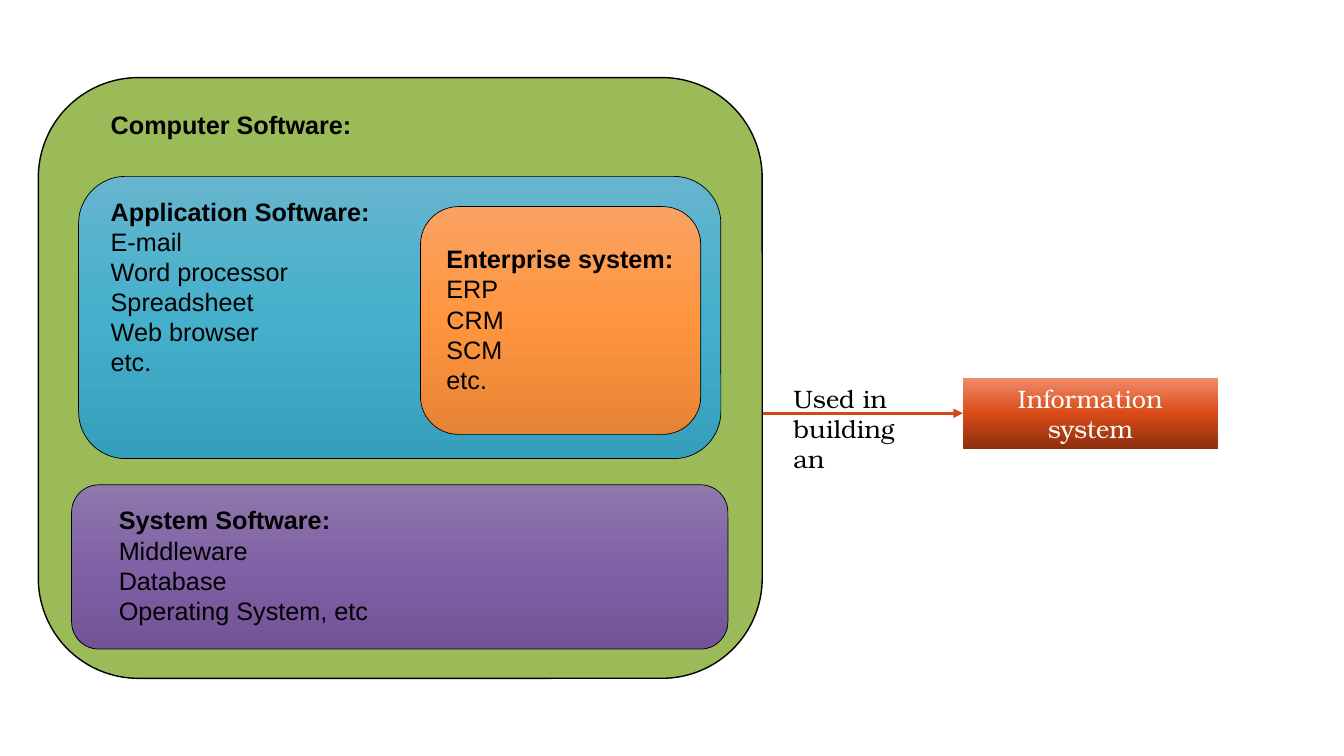
from copy import deepcopy

from pptx import Presentation
from pptx.dml.color import RGBColor as RGB
from pptx.enum.shapes import MSO_CONNECTOR as CONNECTOR, MSO_SHAPE as SHAPE
from pptx.enum.text import MSO_ANCHOR as ANCHOR, PP_ALIGN as ALIGN
from pptx.oxml.ns import qn
from pptx.oxml.xmlchemy import OxmlElement
from pptx.util import Emu, Pt

BLACK = RGB(0x00, 0x00, 0x00)
WHITE = RGB(0xFF, 0xFF, 0xFF)
GREEN = RGB(0x9B, 0xBB, 0x59)
ARROW = RGB(0xD3, 0x48, 0x17)
# Gradients run from top to bottom
BLUES = RGB(0x66, 0xB5, 0xCD), RGB(0x45, 0xB0, 0xCC), RGB(0x36, 0xA0, 0xBC)
PURPLES = RGB(0x8E, 0x78, 0xAC), RGB(0x80, 0x61, 0xA5), RGB(0x71, 0x53, 0x96)
ORANGES = RGB(0xFA, 0xA2, 0x63), RGB(0xFF, 0x95, 0x3E), RGB(0xE5, 0x84, 0x35)
REDS = RGB(0xEF, 0x8C, 0x6A), RGB(0xDA, 0x4B, 0x18), RGB(0x8D, 0x30, 0x0F)


def px(n):
    """Turn px, 100 to the inch, into EMU."""
    return Emu(n * 9144)


class Diagram:
    sans, serif, size = "Arial", "TeX Gyre Bonum", 18

    def __init__(self, slide):
        self.shapes = slide.shapes

    def put_text(self, sp, lines, font=serif, color=BLACK, align=ALIGN.LEFT,
                 anchor=ANCHOR.TOP, heading=False, pitch=None):
        """Add one paragraph a line; heading makes the first one bold."""
        tf = sp.text_frame
        tf.word_wrap = True
        tf.vertical_anchor = anchor
        for i, line in enumerate(lines):
            p = tf.paragraphs[0] if i == 0 else tf.add_paragraph()
            p.alignment = align
            if pitch:
                p.line_spacing = Pt(pitch)
            r = p.add_run()
            r.text = line
            r.font.name = font
            r.font.size = Pt(self.size)
            r.font.bold = heading and i == 0
            r.font.color.rgb = color

    def text(self, box, lines, **fmt):
        sp = self.shapes.add_textbox(*map(px, box))
        self.put_text(sp, lines, **fmt)

    def listing(self, box, lines):
        self.text(box, lines, font=self.sans, heading=True, pitch=21.5)

    def block(self, box, colors, shape=SHAPE.ROUNDED_RECTANGLE, line=0.5):
        """Draw a filled shape: one colour is solid, three make a gradient."""
        sp = self.shapes.add_shape(shape, *map(px, box))
        sp.shadow.inherit = False
        if len(colors) == 1:
            sp.fill.solid()
            sp.fill.fore_color.rgb = colors[0]
        else:
            self.shade(sp, colors)
        if line:
            sp.line.color.rgb = BLACK
            sp.line.width = Pt(line)
        else:
            sp.line.fill.background()
        return sp

    def shade(self, sp, colors):
        sp.fill.gradient()
        sp.fill.gradient_angle = 270
        stops = sp._element.spPr.find(qn("a:gradFill")).find(qn("a:gsLst"))
        stops.append(deepcopy(stops[-1]))
        for stop, color, position in zip(sp.fill.gradient_stops, colors, (0, 0.5, 1)):
            stop.color.rgb = color
            stop.position = position

    def arrow(self, x, y, target):
        """Draw an arrow from (x, y) to the left side of target."""
        c = self.shapes.add_connector(CONNECTOR.STRAIGHT, px(x), px(y), target.left, px(y))
        c.end_connect(target, 1)
        c.line.color.rgb = ARROW
        c.line.width = Pt(2.25)
        tail = OxmlElement("a:tailEnd")
        tail.set("type", "triangle")
        c.line._get_or_add_ln().append(tail)
        c._element.spPr.append(OxmlElement("a:effectLst"))


def main():
    prs = Presentation()
    prs.slide_width, prs.slide_height = px(1333), px(750)
    d = Diagram(prs.slides.add_slide(prs.slide_layouts[6]))

    info_box = d.block((955, 375, 253, 70), REDS, SHAPE.RECTANGLE, line=None)
    d.put_text(info_box, ["Information", "system"], color=WHITE,
               align=ALIGN.CENTER, anchor=ANCHOR.MIDDLE)
    d.arrow(753, 410, info_box)
    d.text((777, 375, 153, 71), ["Used in", "building an"])

    d.block((38, 77, 718, 596), [GREEN], line=1)
    d.block((78, 175, 637, 280), BLUES)
    d.block((71, 481, 651, 163), PURPLES)
    d.block((417, 205, 278, 226), ORANGES)

    d.listing((100, 104, 266, 40), ["Computer Software:"])
    d.listing((100, 190, 280, 192), ["Application Software:", "E-mail", "Word processor",
                                     "Spreadsheet", "Web browser", "etc."])
    d.listing((108, 496, 280, 131), ["System Software:", "Middleware", "Database",
                                     "Operating System, etc"])
    d.listing((433, 237, 250, 161), ["Enterprise system:", "ERP", "CRM", "SCM", "etc."])

    prs.save("out.pptx")


if __name__ == "__main__":
    main()
